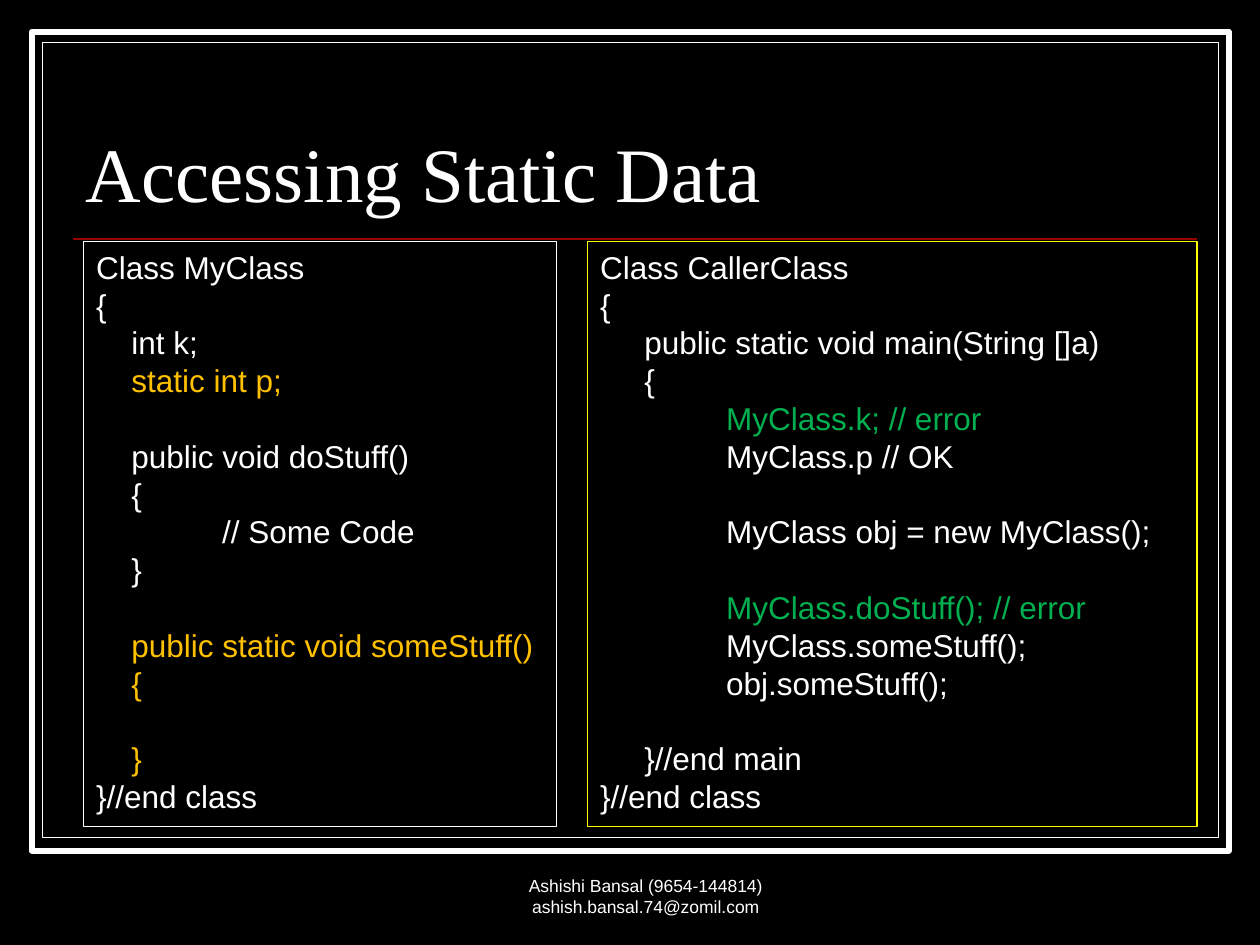
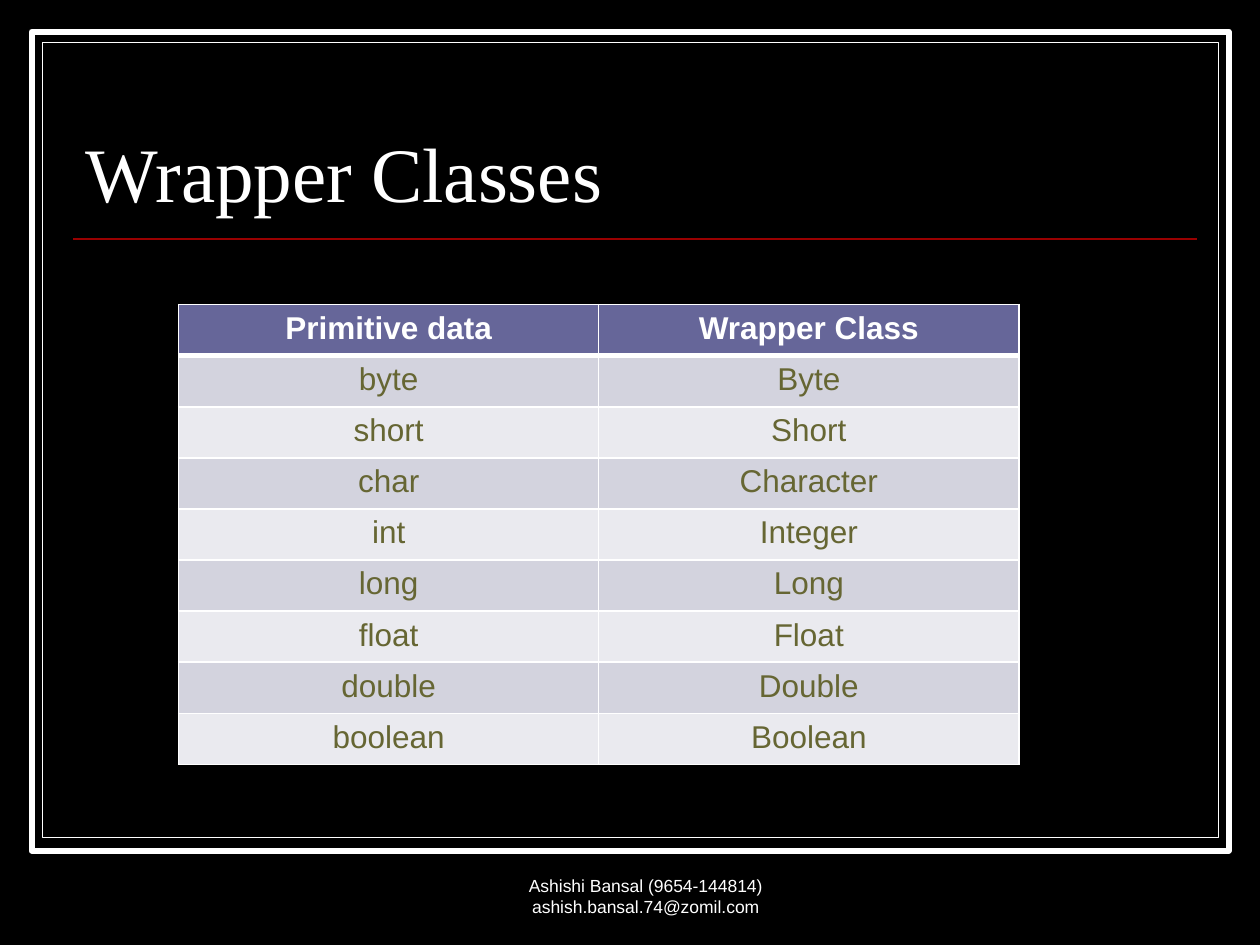
"""Build two Java lecture slides: static data access and wrapper classes."""
from lxml import etree
from pptx import Presentation
from pptx import util as u
from pptx.dml.color import RGBColor
from pptx.enum import shapes, text
from pptx.oxml import ns

BLACK = RGBColor(0x00, 0x00, 0x00)
WHITE = RGBColor(0xFF, 0xFF, 0xFF)
RED = RGBColor(0x99, 0x00, 0x00)
YELLOW = RGBColor(0xFF, 0xFF, 0x00)
AMBER = RGBColor(0xFF, 0xC0, 0x00)
GREEN = RGBColor(0x00, 0xB0, 0x50)
OLIVE = RGBColor(0x66, 0x66, 0x33)
VIOLET = RGBColor(0x66, 0x66, 0x99)
BANDS = [RGBColor(0xEA, 0xEA, 0xEF), RGBColor(0xD3, 0xD3, 0xDE)]

RECT = shapes.MSO_SHAPE.RECTANGLE
LEFT, MID = text.PP_ALIGN.LEFT, text.PP_ALIGN.CENTER
TITLE = {"name": "Times New Roman", "size": u.Pt(44)}
BODY = {"name": "Arial", "size": u.Pt(18), "bold": False}
HEAD = {"name": "Arial", "size": u.Pt(18), "bold": True}
FOOT = {"name": "Arial", "size": u.Pt(10)}


def write(para, words, style, color, align=LEFT):
    para.alignment = align
    run = para.add_run()
    run.text = words
    for key, value in style.items():
        setattr(run.font, key, value)
    run.font.color.rgb = color


def box(slide, left, top, width, height, line, weight, fill=None):
    shape = slide.shapes.add_shape(RECT, u.Cm(left), u.Cm(top), u.Cm(width), u.Cm(height))
    shape.shadow.inherit = False
    shape.line.color.rgb = line
    shape.line.width = u.Pt(weight)
    if fill is None:
        shape.fill.background()
    else:
        shape.fill.solid()
        shape.fill.fore_color.rgb = fill
    return shape


deck = Presentation()
deck.slide_width, deck.slide_height = u.Cm(25.4), u.Cm(19.05)
pages = []
for title in ("Accessing Static Data", "Wrapper Classes"):
    page = deck.slides.add_slide(deck.slide_layouts[6])
    pages.append(page)
    page.background.fill.solid()
    page.background.fill.fore_color.rgb = BLACK
    box(page, 0.64, 0.64, 24.13, 16.51, WHITE, 3.5, BLACK)
    box(page, 0.86, 0.86, 23.7, 16.03, WHITE, 0.75, BLACK)
    rule = page.shapes.add_connector(
        shapes.MSO_CONNECTOR.STRAIGHT, u.Cm(1.48), u.Cm(4.82), u.Cm(24.13), u.Cm(4.82))
    rule.line.color.rgb = RED
    rule.line.width = u.Pt(1)
    etree.SubElement(rule._element.spPr, ns.qn("a:effectLst"))
    for words, style, align, spot in (
        (title, TITLE, LEFT, (1.48, 1.7, 22.65, 2.8)),
        ("Ashishi Bansal (9654-144814) ashish.bansal.74@zomil.com", FOOT, MID,
         (8.99, 17.35, 8.05, 1.27)),
    ):
        frame = page.shapes.add_textbox(*map(u.Cm, spot)).text_frame
        frame.word_wrap = True
        frame.vertical_anchor = text.MSO_ANCHOR.BOTTOM
        para = frame.paragraphs[0]
        if style is TITLE:
            para.line_spacing = 0.8
        write(para, words, style, WHITE, align)

first, second = pages
CLASS = [
    (0, "Class MyClass", WHITE, 0),
    (0, "{", WHITE, 0),
    (1, "int k;", WHITE, 0),
    (1, "static int p;", AMBER, 0),
    (1, "public void doStuff()", WHITE, 1),
    (1, "{", WHITE, 0),
    (2, "// Some Code", WHITE, 0),
    (1, "}", WHITE, 0),
    (1, "public static void someStuff()", AMBER, 1),
    (1, "{", AMBER, 0),
    (1, "}", AMBER, 1),
    (0, "}//end class", WHITE, 0),
]
CALLER = [
    (0, "Class CallerClass", WHITE, 0),
    (0, "{", WHITE, 0),
    (1, "public static void main(String []a)", WHITE, 0),
    (1, "{", WHITE, 0),
    (2, "MyClass.k; // error", GREEN, 0),
    (2, "MyClass.p // OK", WHITE, 0),
    (2, "MyClass obj = new MyClass();", WHITE, 1),
    (2, "MyClass.doStuff(); // error", GREEN, 1),
    (2, "MyClass.someStuff();", WHITE, 0),
    (2, "obj.someStuff();", WHITE, 0),
    (1, "}//end main", WHITE, 1),
    (0, "}//end class", WHITE, 0),
]
for code, left, width, edge, step in (
    (CLASS, 1.69, 9.53, WHITE, 0.71),
    (CALLER, 11.85, 12.28, YELLOW, 0.89),
):
    frame = box(first, left, 4.87, width, 11.79, edge, 0.75).text_frame
    frame.word_wrap = True
    frame.vertical_anchor = text.MSO_ANCHOR.TOP
    for row, (level, words, color, gap) in enumerate(code):
        para = frame.add_paragraph() if row else frame.paragraphs[0]
        para.space_before = u.Pt(21.6 * gap)
        para._p.get_or_add_pPr().set("marL", str(u.Cm((0, step, 2.54)[level])))
        write(para, words, BODY, color)

PAIRS = [
    ("Primitive data", "Wrapper Class"),
    ("byte", "Byte"),
    ("short", "Short"),
    ("char", "Character"),
    ("int", "Integer"),
    ("long", "Long"),
    ("float", "Float"),
    ("double", "Double"),
    ("boolean", "Boolean"),
]
grid = second.shapes.add_table(
    len(PAIRS), 2, u.Cm(3.6), u.Cm(6.14), u.Cm(16.94), u.Cm(9.27)).table
for row, pair in enumerate(PAIRS):
    grid.rows[row].height = u.Cm(1.03)
    for col, words in enumerate(pair):
        cell = grid.cell(row, col)
        cell.fill.solid()
        cell.fill.fore_color.rgb = BANDS[row % 2] if row else VIOLET
        write(cell.text_frame.paragraphs[0], words, BODY if row else HEAD,
              OLIVE if row else WHITE, MID)
        for spot, side in enumerate("LRTB"):
            thick = (row, side) in ((0, "B"), (1, "T"))
            edge = etree.Element(ns.qn("a:ln" + side), w=str(u.Pt(3 if thick else 1)))
            fill = etree.SubElement(edge, ns.qn("a:solidFill"))
            etree.SubElement(fill, ns.qn("a:srgbClr"), val=str(WHITE))
            cell._tc.get_or_add_tcPr().insert(spot, edge)

deck.save("out.pptx")
